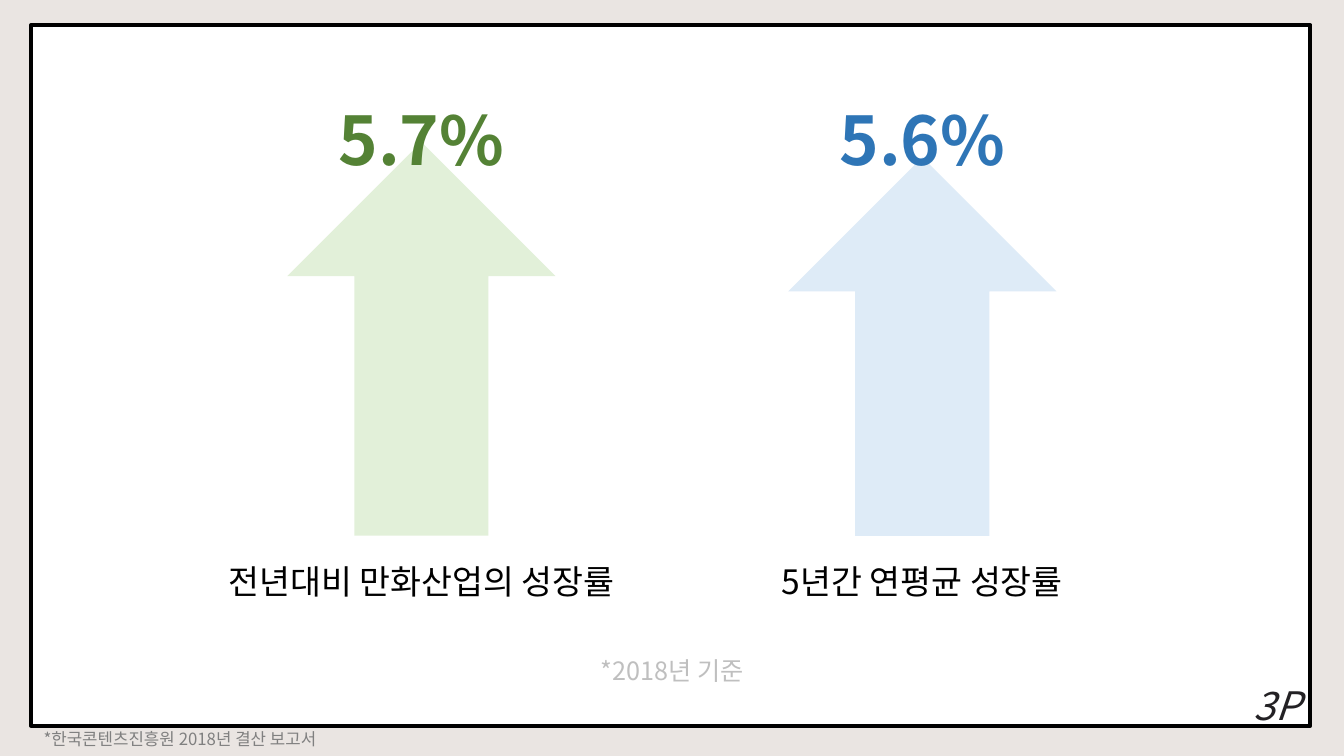
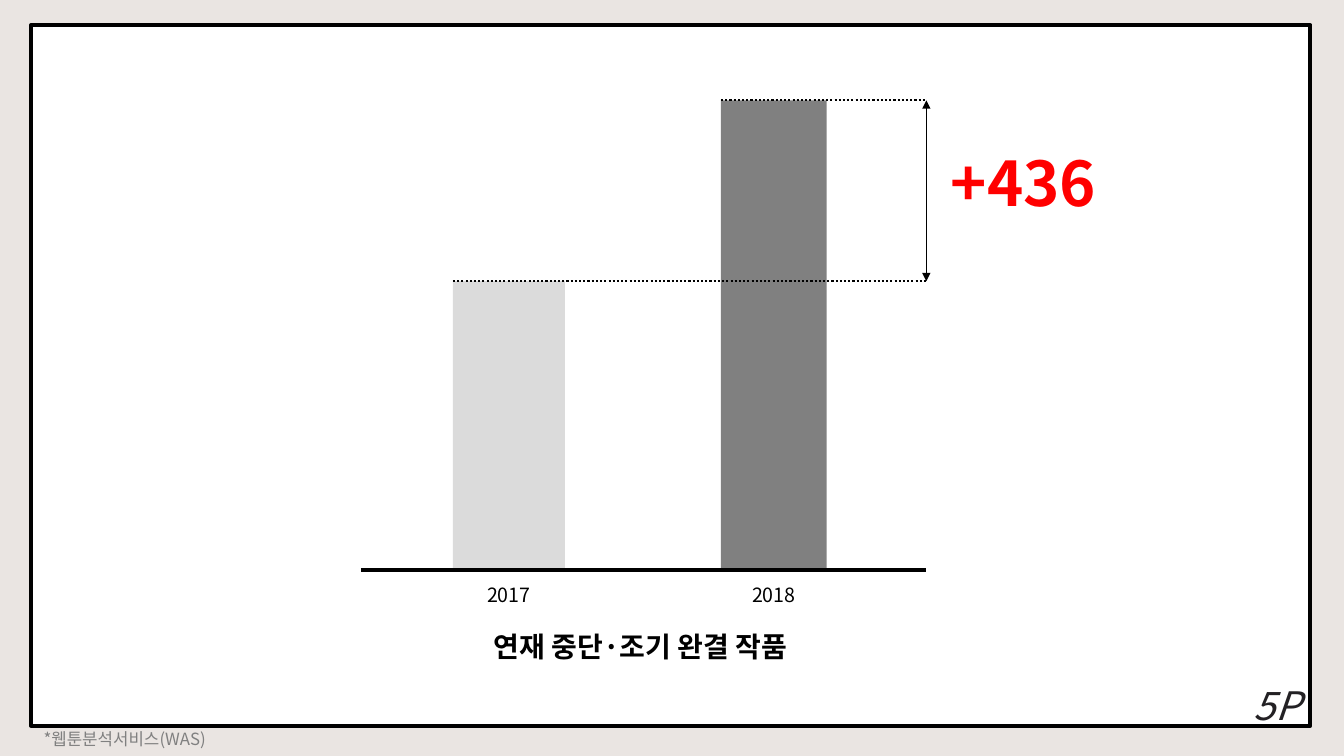
from dataclasses import dataclass

from lxml.etree import SubElement
from pptx import Presentation
from pptx.dml.color import RGBColor
from pptx.enum.dml import MSO_LINE
from pptx.enum.shapes import MSO_CONNECTOR, MSO_SHAPE
from pptx.enum.text import MSO_ANCHOR, PP_ALIGN
from pptx.oxml.ns import qn
from pptx.shapes.autoshape import Shape
from pptx.slide import Slide
from pptx.util import Pt

FONT = "Noto Sans CJK KR"
BACKGROUND = RGBColor(0xEA, 0xE5, 0xE2)
WHITE = RGBColor(0xFF, 0xFF, 0xFF)
BLACK = RGBColor(0x00, 0x00, 0x00)
INK = RGBColor(0x23, 0x21, 0x24)
GRAY = RGBColor(0x80, 0x80, 0x80)
PALE_GRAY = RGBColor(0xBF, 0xBF, 0xBF)
LIGHT_GRAY = RGBColor(0xDB, 0xDB, 0xDB)
GREEN = RGBColor(0x54, 0x82, 0x35)
LIGHT_GREEN = RGBColor(0xE2, 0xF0, 0xD9)
BLUE = RGBColor(0x2E, 0x75, 0xB6)
LIGHT_BLUE = RGBColor(0xDE, 0xEB, 0xF7)
RED = RGBColor(0xFF, 0x00, 0x00)

ARROW_BOTTOM = 382.7
ARROW_WIDTH = 191.5
AXIS_LEFT, AXIS_RIGHT, AXIS_TOP = 257.8, 661.7, 407


@dataclass(frozen=True)
class Box:
    left: float
    top: float
    width: float
    height: float


@dataclass(frozen=True)
class Growth:
    center: float
    top: float
    rate: str
    caption: str
    fill: RGBColor
    color: RGBColor


@dataclass(frozen=True)
class Bar:
    left: float
    top: float
    width: float
    year: str
    fill: RGBColor


GROWTHS = [
    Growth(301, 101.5, "5.7%", "전년대비 만화산업의 성장률", LIGHT_GREEN, GREEN),
    Growth(658.8, 112.3, "5.6%", "5년간 연평균 성장률", LIGHT_BLUE, BLUE),
]
BARS = [
    Bar(323.5, 200.9, 80, "2017", LIGHT_GRAY),
    Bar(515, 71.7, 75.5, "2018", GRAY),
]


def centered(center: float, top: float, width: float, height: float) -> Box:
    return Box(center - width / 2, top, width, height)


def add_text(slide: Slide, text: str, box: Box, *, size: float,
             color: RGBColor = BLACK, bold: bool = False, italic: bool = False,
             align: PP_ALIGN = PP_ALIGN.CENTER) -> None:
    shape = slide.shapes.add_textbox(
        Pt(box.left), Pt(box.top), Pt(box.width), Pt(box.height))
    frame = shape.text_frame
    frame.word_wrap = True
    frame.vertical_anchor = MSO_ANCHOR.TOP
    paragraph = frame.paragraphs[0]
    paragraph.alignment = align
    paragraph.line_spacing = 0.9
    run = paragraph.add_run()
    run.text = text
    font = run.font
    font.name = FONT
    font.size = Pt(size)
    font.bold = bold
    font.italic = italic
    font.color.rgb = color
    east_asian = SubElement(run._r.get_or_add_rPr(), qn("a:ea"))
    east_asian.set("typeface", FONT)


def add_block(slide: Slide, kind: MSO_SHAPE, box: Box, fill: RGBColor) -> Shape:
    shape = slide.shapes.add_shape(
        kind, Pt(box.left), Pt(box.top), Pt(box.width), Pt(box.height))
    shape.shadow.inherit = False
    shape.fill.solid()
    shape.fill.fore_color.rgb = fill
    shape.line.fill.background()
    return shape


def add_line(slide: Slide, start: tuple[float, float], end: tuple[float, float],
             *, width: float, dotted: bool = False, arrows: bool = False) -> None:
    connector = slide.shapes.add_connector(
        MSO_CONNECTOR.STRAIGHT, *(Pt(value) for value in (*start, *end)))
    line = connector.line
    line.color.rgb = BLACK
    line.width = Pt(width)
    if dotted:
        line.dash_style = MSO_LINE.ROUND_DOT
    if arrows:
        for tag in ("a:headEnd", "a:tailEnd"):
            SubElement(line._get_or_add_ln(), qn(tag)).set("type", "triangle")
    SubElement(connector._element.spPr, qn("a:effectLst"))


def add_page(presentation: Presentation, number: str, source: str) -> Slide:
    slide = presentation.slides.add_slide(
        presentation.slide_layouts.get_by_name("Blank"))
    frame = add_block(
        slide, MSO_SHAPE.RECTANGLE, Box(22.3, 18, 913.7, 500.4), WHITE)
    frame.line.color.rgb = BLACK
    frame.line.width = Pt(3)
    add_text(slide, number, Box(882, 486.7, 60, 41), size=28, color=INK, italic=True)
    add_text(slide, source, Box(24, 518.4, 392, 21.6), size=12, color=GRAY,
             align=PP_ALIGN.LEFT)
    return slide


def build_growth(presentation: Presentation) -> None:
    slide = add_page(presentation, "3P", "*한국콘텐츠진흥원 2018년 결산 보고서")
    for growth in GROWTHS:
        add_block(slide, MSO_SHAPE.UP_ARROW,
                  centered(growth.center, growth.top, ARROW_WIDTH,
                           ARROW_BOTTOM - growth.top), growth.fill)
        add_text(slide, growth.caption, centered(growth.center, 400.3, 353, 36),
                 size=24)
        add_text(slide, growth.rate, centered(growth.center, 73, 206, 73),
                 size=48, color=growth.color, bold=True)
    add_text(slide, "*2018년 기준", centered(480, 466.6, 292, 29), size=18,
             color=PALE_GRAY)


def build_cancellations(presentation: Presentation) -> None:
    slide = add_page(presentation, "5P", "*웹툰분석서비스(WAS)")
    for bar in BARS:
        add_block(slide, MSO_SHAPE.RECTANGLE,
                  Box(bar.left, bar.top, bar.width, AXIS_TOP - bar.top), bar.fill)
        add_text(slide, bar.year,
                 centered(bar.left + bar.width / 2, 414.6, 120, 28), size=14)
    add_text(slide, "연재 중단·조기 완결 작품", Box(299.5, 448.6, 316, 32),
             size=20, bold=True)
    add_line(slide, (AXIS_LEFT, AXIS_TOP), (AXIS_RIGHT, AXIS_TOP), width=3)
    add_text(slide, "+436", Box(651.6, 105.6, 159, 68), size=44, color=RED,
             bold=True)
    for bar in BARS:
        add_line(slide, (bar.left, bar.top), (AXIS_RIGHT, bar.top), width=1.5,
                 dotted=True)
    lower, higher = BARS
    add_line(slide, (AXIS_RIGHT, higher.top), (AXIS_RIGHT, lower.top), width=0.5,
             arrows=True)


def main() -> None:
    presentation = Presentation()
    presentation.slide_width = Pt(960)
    presentation.slide_height = Pt(540)
    background = presentation.slide_master.background.fill
    background.solid()
    background.fore_color.rgb = BACKGROUND
    build_growth(presentation)
    build_cancellations(presentation)
    presentation.save("out.pptx")


if __name__ == "__main__":
    main()
